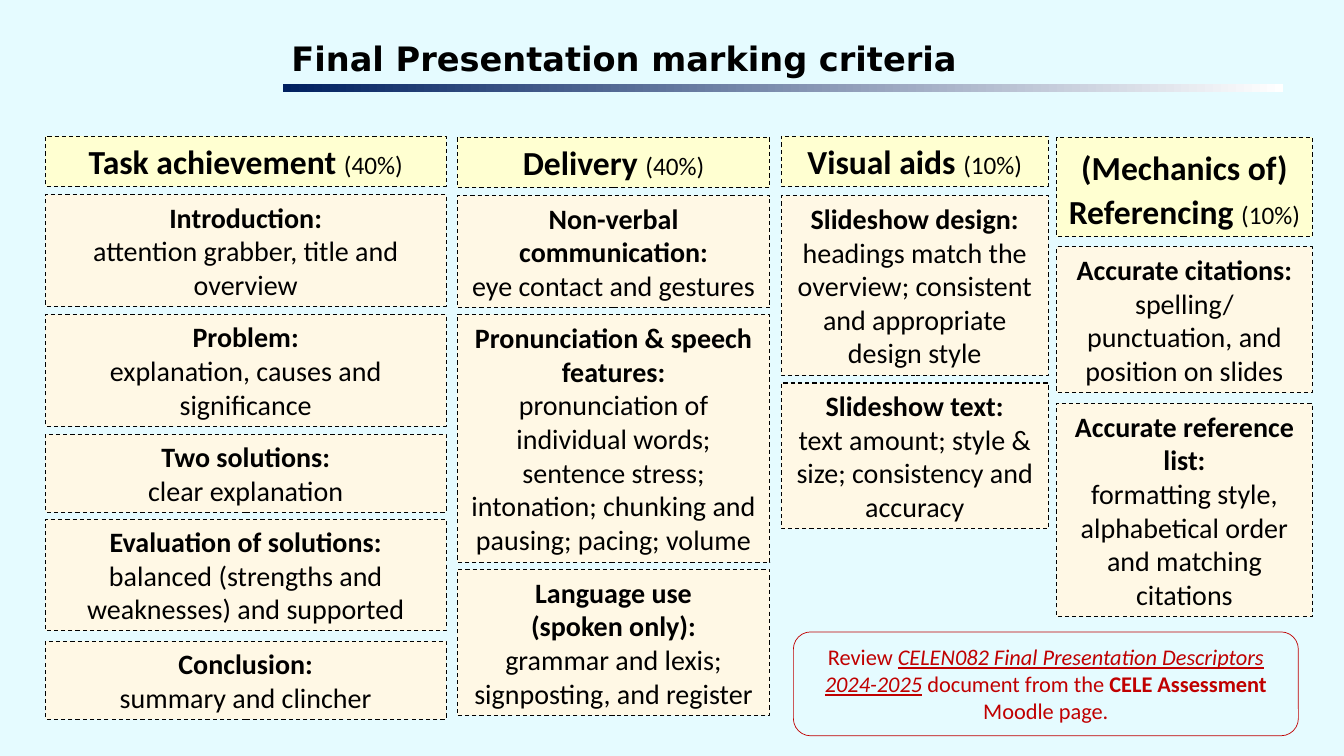
from dataclasses import dataclass

import pptx
import pptx.dml.color
import pptx.enum.dml
import pptx.enum.shapes
import pptx.enum.text
import pptx.util

Pt = pptx.util.Pt
SHAPES = pptx.enum.shapes.MSO_SHAPE
ALIGN = pptx.enum.text.PP_ALIGN
ANCHOR = pptx.enum.text.MSO_ANCHOR
AUTO_SIZE = pptx.enum.text.MSO_AUTO_SIZE

BLACK = "000000"
RED = "C00000"
HEADER_FILL = "FFFFD1"
CRITERION_FILL = "FFF8E5"
LINE_HEIGHT = 24.25
BOX_MARGINS = 7.2


@dataclass(frozen=True)
class Criterion:
    top: float
    lines: int
    headings: tuple[str, ...]
    details: tuple[str, ...]


@dataclass(frozen=True)
class Column:
    left: float
    width: float
    top: float
    height: float
    title: str
    weight: str
    criteria: tuple[Criterion, ...]
    line_spacing: float = 1.0


COLUMNS = (
    Column(32.4, 286.2, 97.2, 36, "Task achievement ", "(40%)", (
        Criterion(139, 3, ("Introduction:",), ("attention grabber, title and overview",)),
        Criterion(224.6, 3, ("Problem:",), ("explanation, causes and", "significance")),
        Criterion(310.2, 2, ("Two solutions:",), ("clear explanation",)),
        Criterion(370.8, 3, ("Evaluation of solutions:",),
                  ("balanced (strengths and weaknesses) and supported",)),
        Criterion(458, 2, ("Conclusion:",), ("summary and clincher",)),
    )),
    Column(326.5, 223.5, 97.9, 36, "Delivery ", "(40%)", (
        Criterion(139.7, 3, ("Non-verbal communication:",), ("eye contact and gestures",)),
        Criterion(224.6, 7, ("Pronunciation & speech features:",),
                  ("pronunciation of individual words; sentence stress; intonation; "
                   "chunking and pausing; pacing; volume",)),
        Criterion(406.8, 4, ("Language use", "(spoken only):"),
                  ("grammar and lexis; signposting, and register",)),
    )),
    Column(558, 190.8, 97.2, 36, "Visual aids ", "(10%)", (
        Criterion(139.7, 5, ("Slideshow design:",),
                  ("headings match the overview; consistent and appropriate design style",)),
        Criterion(273.6, 4, ("Slideshow text:",),
                  ("text amount; style & size; consistency and accuracy",)),
    )),
    Column(754.8, 182.5, 97.9, 71.3, "(Mechanics of) Referencing ", "(10%)", (
        Criterion(176.4, 4, ("Accurate citations:",),
                  ("spelling/ punctuation, and position on slides",)),
        Criterion(288, 6, ("Accurate reference list:",),
                  ("formatting style, alphabetical order and matching citations",)),
    ), 1.1),
)


def color(value: str) -> pptx.dml.color.RGBColor:
    return pptx.dml.color.RGBColor.from_string(value)


def add_text(paragraph, text: str, *, size: float, name: str = "Calibri",
             fill: str = BLACK, bold: bool = False, italic: bool = False,
             underline: bool = False) -> None:
    run = paragraph.add_run()
    run.text = text
    font = run.font
    font.name, font.size = name, Pt(size)
    font.bold, font.italic, font.underline = bold, italic, underline
    font.color.rgb = color(fill)


def add_box(slide, kind, left: float, top: float, width: float, height: float,
            *, fill: str | None, line: str, weight: float, dashed: bool):
    shape = slide.shapes.add_shape(kind, Pt(left), Pt(top), Pt(width), Pt(height))
    shape.shadow.inherit = False
    if fill is None:
        shape.fill.background()
    else:
        shape.fill.solid()
        shape.fill.fore_color.rgb = color(fill)
    shape.line.color.rgb = color(line)
    shape.line.width = Pt(weight)
    if dashed:
        shape.line.dash_style = pptx.enum.dml.MSO_LINE.DASH
    frame = shape.text_frame
    frame.word_wrap = True
    frame.vertical_anchor = ANCHOR.MIDDLE
    frame.auto_size = AUTO_SIZE.SHAPE_TO_FIT_TEXT if dashed else AUTO_SIZE.NONE
    frame.paragraphs[0].alignment = ALIGN.CENTER
    return frame


def add_column(slide, column: Column) -> None:
    style = {"line": BLACK, "weight": 0.75, "dashed": True}
    frame = add_box(slide, SHAPES.RECTANGLE, column.left, column.top, column.width,
                    column.height, fill=HEADER_FILL, **style)
    header = frame.paragraphs[0]
    header.line_spacing = column.line_spacing
    add_text(header, column.title, size=24, bold=True)
    add_text(header, column.weight, size=18)
    for criterion in column.criteria:
        frame = add_box(slide, SHAPES.RECTANGLE, column.left, criterion.top, column.width,
                        criterion.lines * LINE_HEIGHT + BOX_MARGINS,
                        fill=CRITERION_FILL, **style)
        texts = criterion.headings + criterion.details
        for index, text in enumerate(texts):
            paragraph = frame.add_paragraph() if index else frame.paragraphs[0]
            paragraph.alignment = ALIGN.CENTER
            add_text(paragraph, text, size=20, bold=index < len(criterion.headings))


def add_title(slide) -> None:
    title = slide.shapes.title
    title.left, title.top, title.width, title.height = Pt(205.2), Pt(22.3), Pt(711.4), Pt(38.2)
    frame = title.text_frame
    frame.margin_left = frame.margin_right = Pt(3)
    frame.margin_top = frame.margin_bottom = Pt(3)
    frame.word_wrap = True
    frame.auto_size = AUTO_SIZE.NONE
    frame.vertical_anchor = ANCHOR.MIDDLE
    paragraph = frame.paragraphs[0]
    paragraph.alignment = ALIGN.LEFT
    add_text(paragraph, "Final Presentation marking criteria", size=24,
             name="DejaVu Sans", bold=True)

    rule = slide.shapes.add_shape(SHAPES.RECTANGLE, Pt(202.3), Pt(60.3), Pt(714.2), Pt(5.6))
    rule.shadow.inherit = False
    rule.line.fill.background()
    rule.fill.gradient()
    rule.fill.gradient_angle = 180
    for stop, position, value in zip(rule.fill.gradient_stops, (0, 1), ("FFFFFF", "002060")):
        stop.position = position
        stop.color.rgb = color(value)


def add_review_note(slide) -> None:
    frame = add_box(slide, SHAPES.ROUNDED_RECTANGLE, 566.7, 451.4, 360.7, 74.2,
                    fill=None, line=RED, weight=0.5, dashed=False)
    for text, emphasis in (
        ("Review ", {}),
        ("CELEN082 Final Presentation Descriptors 2024-2025",
         {"italic": True, "underline": True}),
        (" document from the ", {}),
        ("CELE Assessment", {"bold": True}),
        (" Moodle page.", {}),
    ):
        add_text(frame.paragraphs[0], text, size=16, fill=RED, **emphasis)


def main() -> None:
    presentation = pptx.Presentation()
    presentation.slide_width, presentation.slide_height = Pt(960), Pt(540)
    slide = presentation.slides.add_slide(presentation.slide_layouts.get_by_name("Title Only"))
    slide.background.fill.solid()
    slide.background.fill.fore_color.rgb = color("E5FBFF")
    add_title(slide)
    for column in COLUMNS:
        add_column(slide, column)
    add_review_note(slide)
    presentation.save("out.pptx")


if __name__ == "__main__":
    main()
